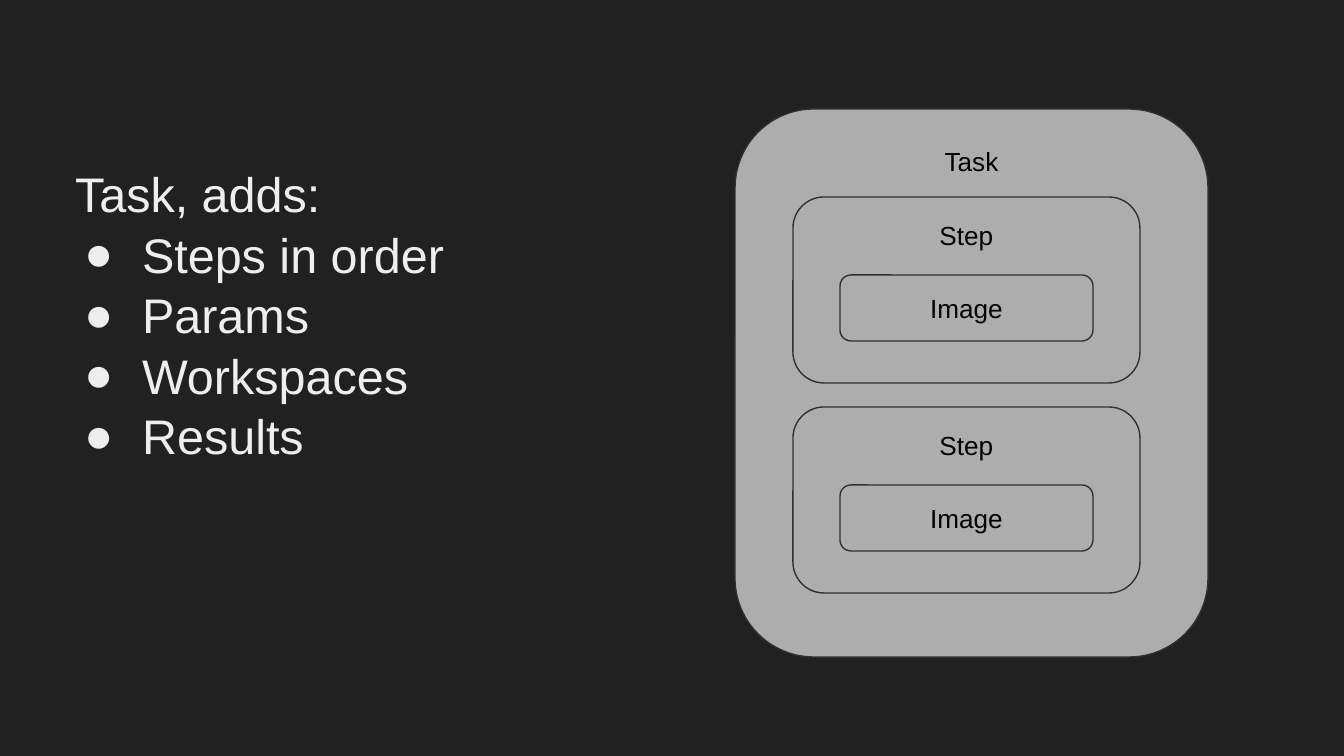
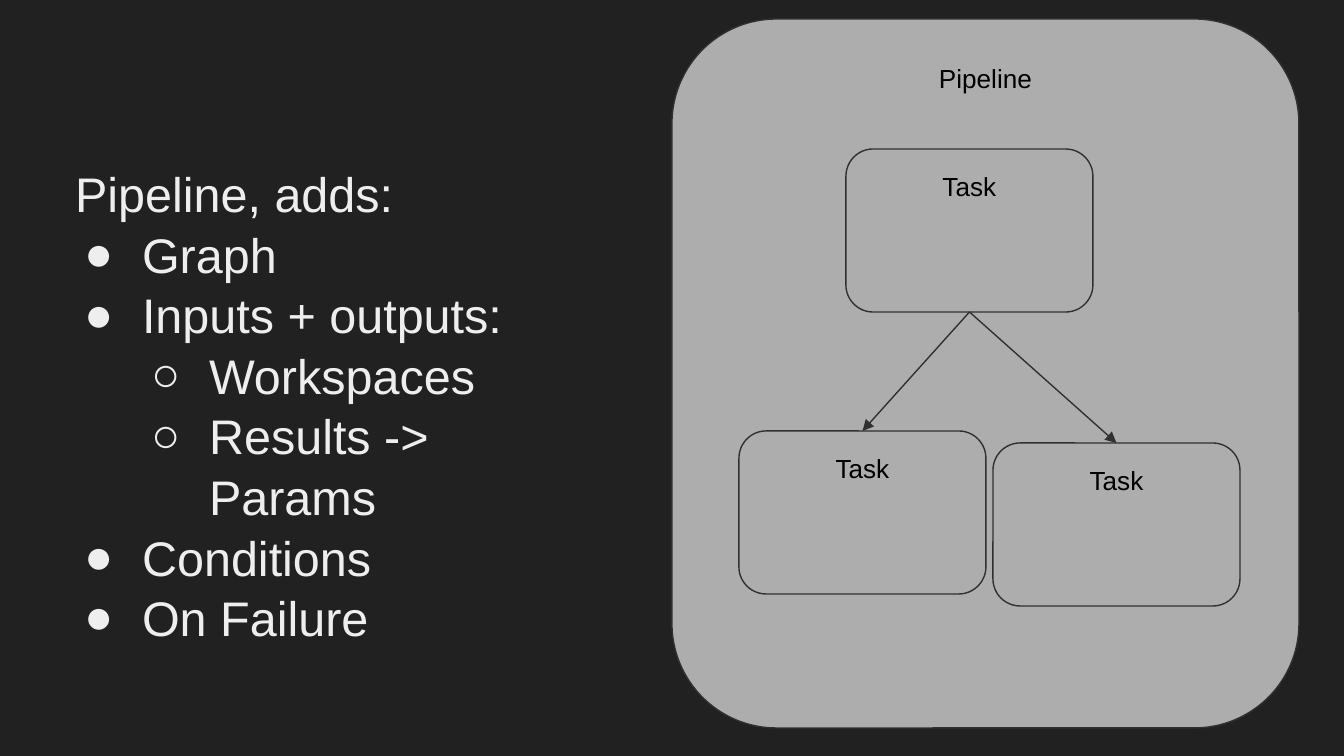
from dataclasses import dataclass

from lxml.etree import SubElement
from pptx import Presentation
from pptx.dml.color import RGBColor
from pptx.enum.shapes import MSO_CONNECTOR as CONN, MSO_SHAPE as SHAPE
from pptx.enum.text import MSO_ANCHOR as ANCHOR, MSO_AUTO_SIZE as AUTOSIZE, PP_ALIGN as ALIGN
from pptx.oxml.ns import qn
from pptx.util import Pt

SLIDE_W, SLIDE_H = 1344, 756
PX = 9144000 / SLIDE_W
BOTTOM, TOP = 2, 0


@dataclass(frozen=True)
class Theme:
    background: RGBColor = RGBColor.from_string("212121")
    box: RGBColor = RGBColor.from_string("ADADAD")
    line: RGBColor = RGBColor.from_string("303030")
    label: RGBColor = RGBColor.from_string("000000")
    body: RGBColor = RGBColor.from_string("EEEEEE")
    font: str = "Arial"
    label_size: Pt = Pt(14)
    body_size: Pt = Pt(26)
    line_width: Pt = Pt(0.75)
    line_spacing: float = 1.04
    inset: int = 13
    indent: int = 67
    hanging: int = 58
    bullets: str = "●○"


THEME = Theme()


def px(n):
    return round(n * PX)


def style_run(p, size, color):
    font = p.runs[0].font
    font.name, font.size = THEME.font, size
    font.color.rgb = color


def set_frame(tf, anchor=ANCHOR.TOP):
    tf.word_wrap = True
    tf.auto_size = AUTOSIZE.NONE
    tf.vertical_anchor = anchor
    tf.margin_left = tf.margin_right = tf.margin_top = tf.margin_bottom = px(THEME.inset)


def style_line(line):
    line.color.rgb = THEME.line
    line.width = THEME.line_width


def add_box(s, text, x, y, w, h, anchor=ANCHOR.TOP):
    sp = s.shapes.add_shape(SHAPE.ROUNDED_RECTANGLE, px(x), px(y), px(w), px(h))
    sp.shadow.inherit = False
    sp.fill.solid()
    sp.fill.fore_color.rgb = THEME.box
    style_line(sp.line)
    set_frame(sp.text_frame, anchor)
    p = sp.text_frame.paragraphs[0]
    p.text = text
    p.alignment = ALIGN.CENTER
    style_run(p, THEME.label_size, THEME.label)
    return sp


def add_arrow(s, start, end):
    """Join the bottom of one box to the top of another."""
    cn = s.shapes.add_connector(CONN.STRAIGHT, 0, 0, 0, 0)
    cn.begin_connect(start, BOTTOM)
    cn.end_connect(end, TOP)
    style_line(cn.line)
    SubElement(cn.line._get_or_add_ln(), qn("a:tailEnd"), type="triangle")
    SubElement(cn._element.spPr, qn("a:effectLst"))


def set_bullet(p, depth):
    """Depth 0 is a plain line; 1 and 2 are bulleted levels."""
    p.level = max(depth - 1, 0)
    pPr = p._p.get_or_add_pPr()
    pPr.set("marL", str(px(depth * THEME.indent)))
    pPr.set("indent", str(-px(THEME.hanging) if depth else 0))
    if depth:
        color = SubElement(pPr, qn("a:buClr"))
        SubElement(color, qn("a:srgbClr"), val=str(THEME.body))
        SubElement(pPr, qn("a:buFont"), typeface=THEME.font)
        SubElement(pPr, qn("a:buChar"), char=THEME.bullets[depth - 1])
    else:
        SubElement(pPr, qn("a:buNone"))


def fill_body(s, height, items):
    body = s.placeholders[1]
    body.left, body.top, body.width, body.height = map(px, (62, 149, 556, height))
    tf = body.text_frame
    set_frame(tf)
    tf.text = "\n".join(text for _, text in items)
    for p, (depth, _) in zip(tf.paragraphs, items):
        p.alignment = ALIGN.LEFT
        p.line_spacing = THEME.line_spacing
        p.space_before = p.space_after = Pt(0)
        set_bullet(p, depth)
        style_run(p, THEME.body_size, THEME.body)


def new_slide(prs):
    s = prs.slides.add_slide(prs.slide_layouts[1])
    title = s.shapes.title._element
    title.getparent().remove(title)
    return s


def add_step(s, x, y):
    add_box(s, "Step", x, y, 347, 186)
    add_box(s, "Image", x + 47, y + 78, 253, 66, ANCHOR.MIDDLE)


def add_task(s, x, y):
    return add_box(s, "Task", x, y, 247, 163)


def build_task_slide(prs):
    s = new_slide(prs)
    add_box(s, "Task", 735, 109, 473, 548)
    for i in range(2):
        add_step(s, 793, 197 + i * 210)
    fill_body(s, 501, [
        (0, "Task, adds:"),
        (1, "Steps in order"),
        (1, "Params"),
        (1, "Workspaces"),
        (1, "Results"),
    ])


def build_pipeline_slide(prs):
    s = new_slide(prs)
    add_box(s, "Pipeline", 672, 19, 627, 709)
    first = add_task(s, 846, 149)
    followers = [add_task(s, x, y) for x, y in ((739, 431), (993, 443))]
    for task in followers:
        add_arrow(s, first, task)
    fill_body(s, 552, [
        (0, "Pipeline, adds:"),
        (1, "Graph"),
        (1, "Inputs + outputs:"),
        (2, "Workspaces"),
        (2, "Results -> Params"),
        (1, "Conditions"),
        (1, "On Failure"),
    ])


def main():
    prs = Presentation()
    prs.slide_width, prs.slide_height = px(SLIDE_W), px(SLIDE_H)
    fill = prs.slide_master.background.fill
    fill.solid()
    fill.fore_color.rgb = THEME.background
    build_task_slide(prs)
    build_pipeline_slide(prs)
    prs.save("out.pptx")


if __name__ == "__main__":
    main()
